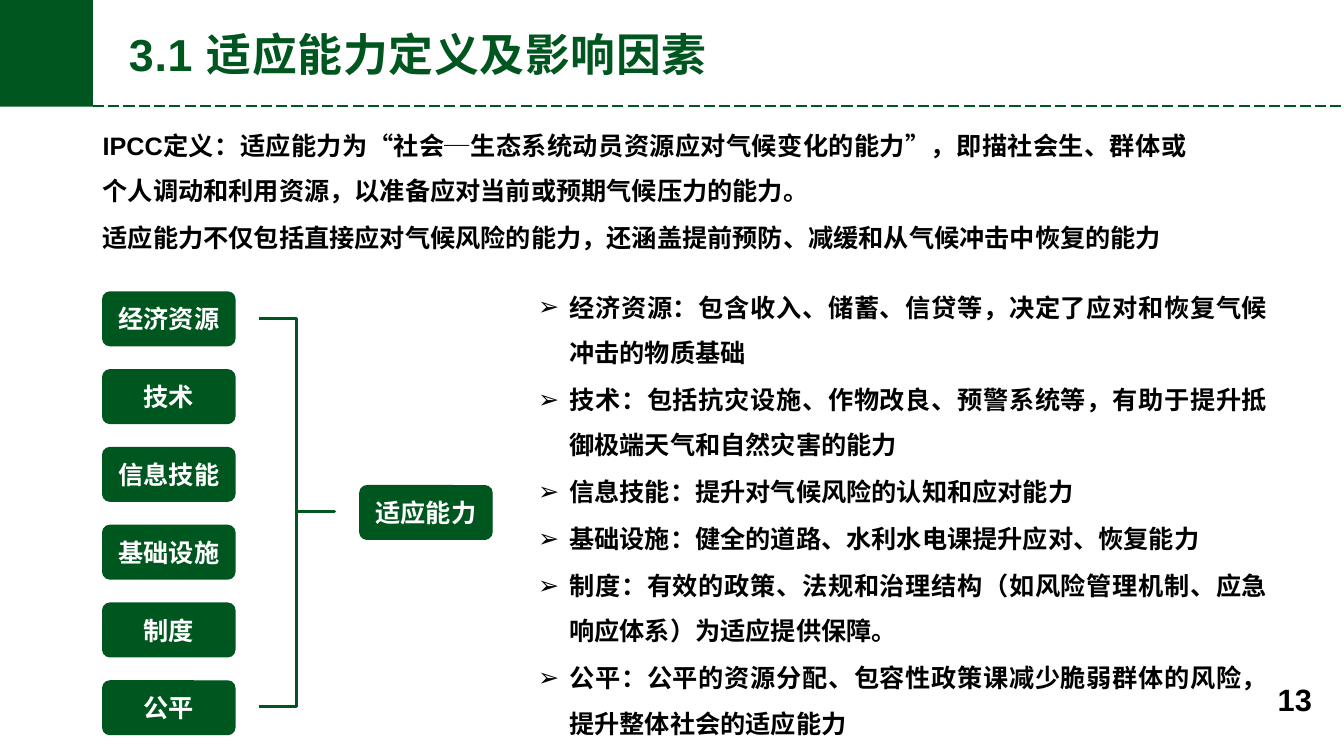
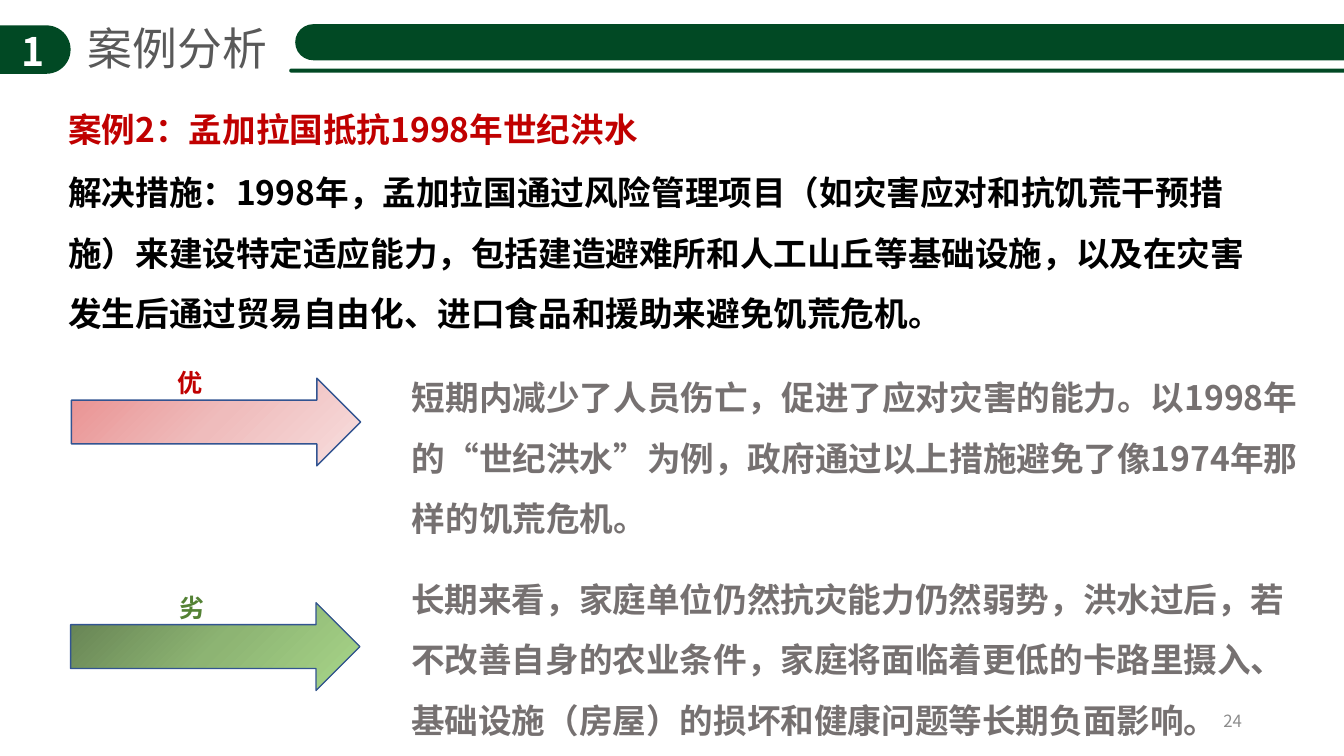
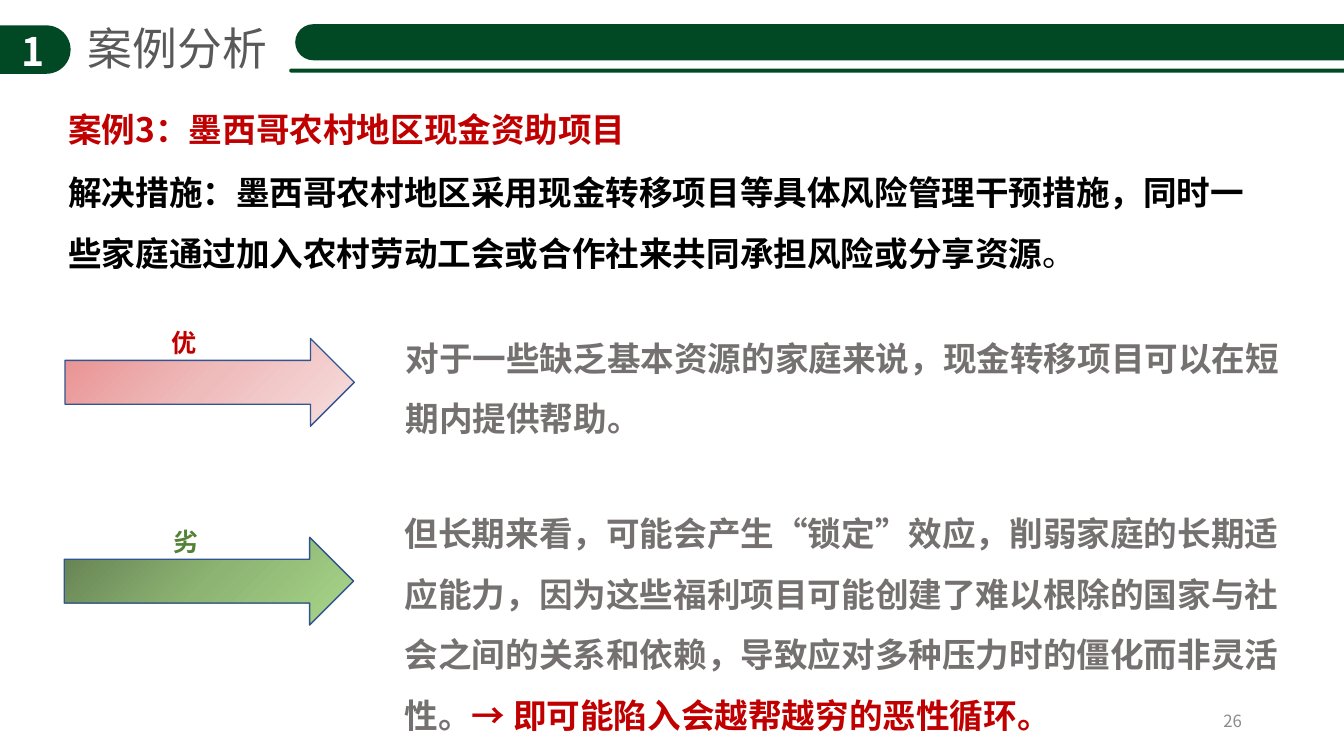
from dataclasses import dataclass

import lxml.etree
import pptx
import pptx.dml.color
import pptx.enum.dml
import pptx.enum.shapes
import pptx.enum.text
import pptx.oxml.ns
import pptx.shapes.autoshape
import pptx.slide
import pptx.text.text
import pptx.util

Cm = pptx.util.Cm
Pt = pptx.util.Pt
qn = pptx.oxml.ns.qn
ALIGN = pptx.enum.text.PP_ALIGN
ANCHOR = pptx.enum.text.MSO_ANCHOR
SHAPE = pptx.enum.shapes.MSO_SHAPE

# Shared look
COLORS = {
    "green": "00561F",
    "deep_green": "014924",
    "leaf": "548235",
    "red": "C00000",
    "black": "000000",
    "white": "FFFFFF",
    "title_grey": "595959",
    "text_grey": "767171",
    "number_grey": "8C8C8C",
    "arrow_edge": "325491",
}
CJK_FONT = "Noto Sans CJK SC"
SLIDE_WIDTH, SLIDE_HEIGHT = 33.87, 19.05


@dataclass(frozen=True)
class Box:
    """Left, top, width and height in centimetres."""
    left: float
    top: float
    width: float
    height: float

    def lengths(self) -> tuple:
        return Cm(self.left), Cm(self.top), Cm(self.width), Cm(self.height)


@dataclass(frozen=True)
class Style:
    size: float
    color: str
    bold: bool = True
    font: str = CJK_FONT
    align: ALIGN = ALIGN.LEFT
    line_spacing: float = 1.0
    space_before: float = 0
    bullet: str = ""
    letter_spacing: int = 0


@dataclass(frozen=True)
class Span:
    """A stretch of text that differs from its paragraph."""
    text: str
    color: str = ""
    font: str = ""
    bold: bool = True


@dataclass(frozen=True)
class EffectKind:
    label: str
    color: str
    gradient: tuple
    text_rise: float
    label_shift: float


@dataclass(frozen=True)
class Effect:
    kind: EffectKind
    left: float
    top: float
    lines: int
    spans: tuple


@dataclass(frozen=True)
class Case:
    number: str
    heading: str
    measures: tuple
    measure_lines: int
    effects: tuple


FACTOR_TITLE = Style(32, "green", font="Arial", letter_spacing=50)
FACTOR_NUMBER = Style(22, "black", font="Arial")
FACTOR_TEXT = Style(18, "black", font="Arial", align=ALIGN.JUSTIFY,
                    line_spacing=1.5, space_before=1.1)
FACTOR_LIST = Style(18, "black", font="Arial", align=ALIGN.JUSTIFY,
                    line_spacing=1.5, space_before=1.1, bullet="➢")
TAG = Style(18, "white", align=ALIGN.CENTER)
SECTION_NUMBER = Style(28, "white", align=ALIGN.CENTER)
SECTION_TITLE = Style(32, "title_grey", bold=False)
CASE_NUMBER = Style(12, "number_grey", bold=False, align=ALIGN.RIGHT)
CASE_HEADING = Style(24, "red", line_spacing=1.5)
CASE_TEXT = Style(24, "black", line_spacing=1.5)
EFFECT_TEXT = Style(24, "text_grey", line_spacing=1.5)

MERIT = EffectKind("优", "red", ((0, "E98F8F"), (50, "EFBCBC"), (100, "F7DEDE")), 0.66, 2.43)
DRAWBACK = EffectKind("劣", "leaf", ((0, "637F51"), (50, "8DB473"), (100, "A8D689")), 1.24, 2.5)


# Drawing functions
def rgb(name: str) -> pptx.dml.color.RGBColor:
    return pptx.dml.color.RGBColor.from_string(COLORS[name])


def write_paragraph(paragraph: pptx.text.text._Paragraph, spans: tuple,
                    style: Style, first: bool) -> None:
    paragraph.alignment = style.align
    paragraph.line_spacing = style.line_spacing
    paragraph.space_before = Pt(0 if first else style.space_before)
    properties = paragraph._p.get_or_add_pPr()
    if style.bullet:
        properties.set("marL", str(Cm(0.84)))
        properties.set("indent", str(Cm(-0.79)))
        lxml.etree.SubElement(properties, qn("a:buFont")).set("typeface", "Arial")
        lxml.etree.SubElement(properties, qn("a:buChar")).set("char", style.bullet)
    paragraph.font.size = Pt(style.size)
    paragraph.font.bold = style.bold
    paragraph.font.name = style.font
    paragraph.font.color.rgb = rgb(style.color)
    defaults = properties.find(qn("a:defRPr"))
    lxml.etree.SubElement(defaults, qn("a:ea")).set("typeface", CJK_FONT)
    if style.letter_spacing:
        defaults.set("spc", str(style.letter_spacing))
    for span in spans:
        run = paragraph.add_run()
        run.text = span.text
        if span.color:
            run.font.color.rgb = rgb(span.color)
        if span.font:
            run.font.name = span.font
        if span.bold != style.bold and not span.bold:
            run.font.bold = False


def write_text(frame: pptx.text.text.TextFrame, paragraphs: tuple, style: Style) -> None:
    for index, spans in enumerate(paragraphs):
        paragraph = frame.add_paragraph() if index else frame.paragraphs[0]
        write_paragraph(paragraph, spans, style, first=index == 0)


def plain(*texts: str) -> tuple:
    return tuple((Span(text),) for text in texts)


def add_text(slide: pptx.slide.Slide, box: Box, paragraphs: tuple, style: Style,
             anchor: ANCHOR = ANCHOR.TOP, wrap: bool = True,
             tight: bool = False, grow: bool = True) -> None:
    frame = slide.shapes.add_textbox(*box.lengths()).text_frame
    frame.word_wrap = wrap
    frame.vertical_anchor = anchor
    if grow:
        frame.auto_size = pptx.enum.text.MSO_AUTO_SIZE.SHAPE_TO_FIT_TEXT
    if tight:
        frame.margin_left = frame.margin_right = frame.margin_bottom = 0
        frame.margin_top = Cm(0.03)
    write_text(frame, paragraphs, style)


def add_block(slide: pptx.slide.Slide, box: Box, color: str, kind: SHAPE = SHAPE.RECTANGLE,
              rounding: float = 0) -> pptx.shapes.autoshape.Shape:
    shape = slide.shapes.add_shape(kind, *box.lengths())
    shape.shadow.inherit = False
    shape.fill.solid()
    shape.fill.fore_color.rgb = rgb(color)
    shape.line.fill.background()
    if rounding:
        shape.adjustments[0] = rounding
    return shape


def add_tag(slide: pptx.slide.Slide, left: float, top: float, text: str) -> None:
    shape = add_block(slide, Box(left, top, 3.33, 1.35), "green",
                      SHAPE.ROUNDED_RECTANGLE, 0.134)
    shape.line.color.rgb = rgb("green")
    shape.line.width = Pt(1)
    shape.text_frame.vertical_anchor = ANCHOR.MIDDLE
    write_text(shape.text_frame, plain(text), TAG)


def lines_height(lines: int) -> float:
    return 0.09 + 1.54 * lines


# Slide with the influencing factors
def build_factor_slide(slide: pptx.slide.Slide) -> None:
    add_text(slide, Box(31.95, 17.02, 1.37, 1.35), plain("13"), FACTOR_NUMBER, grow=False)
    add_block(slide, Box(0, 0, 2.34, 2.69), "green")
    rule = slide.shapes.add_connector(pptx.enum.shapes.MSO_CONNECTOR.STRAIGHT,
                                      Cm(2.34), Cm(2.67), Cm(SLIDE_WIDTH), Cm(2.67))
    rule.line.color.rgb = rgb("green")
    rule.line.width = Pt(1)
    rule.line.dash_style = pptx.enum.dml.MSO_LINE.LONG_DASH
    lxml.etree.SubElement(rule._element.spPr, qn("a:effectLst"))
    add_text(slide, Box(2.59, 2.97, 27.33, 3.4), plain(
        "IPCC定义：适应能力为“社会─生态系统动员资源应对气候变化的能力”，即描社会生、群体或个人调动和利用资源，以准备应对当前或预期气候压力的能力。",
        "适应能力不仅包括直接应对气候风险的能力，还涵盖提前预防、减缓和从气候冲击中恢复的能力",
    ), FACTOR_TEXT, ANCHOR.BOTTOM, tight=True)
    add_text(slide, Box(3, 0.56, 22.99, 1.63), plain("3.1 适应能力定义及影响因素"), FACTOR_TITLE)

    # Factors gathered by a brace
    factors = ("经济资源", "技术", "信息技能", "基础设施", "制度", "公平")
    for index, factor in enumerate(factors):
        add_tag(slide, 2.59, 7.36 + 1.96 * index, factor)
    add_tag(slide, 9.07, 12.24, "适应能力")
    brace = slide.shapes.add_shape(SHAPE.RIGHT_BRACE, *Box(6.53, 8.03, 1.9, 9.78).lengths())
    brace.shadow.inherit = False
    brace.fill.background()
    brace.line.color.rgb = rgb("green")
    brace.line.width = Pt(2.25)
    brace.adjustments[0] = 0
    brace.adjustments[1] = 0.497

    # Explanations
    add_text(slide, Box(13.51, 6.99, 18.44, 11.61), plain(
        "经济资源：包含收入、储蓄、信贷等，决定了应对和恢复气候冲击的物质基础",
        "技术：包括抗灾设施、作物改良、预警系统等，有助于提升抵御极端天气和自然灾害的能力",
        "信息技能：提升对气候风险的认知和应对能力",
        "基础设施：健全的道路、水利水电课提升应对、恢复能力",
        "制度：有效的政策、法规和治理结构（如风险管理机制、应急响应体系）为适应提供保障。",
        "公平：公平的资源分配、包容性政策课减少脆弱群体的风险，提升整体社会的适应能力",
    ), FACTOR_LIST, ANCHOR.BOTTOM, tight=True)


# Case slides
def add_section_header(slide: pptx.slide.Slide) -> None:
    for box in (Box(-0.71, 0.64, 2.49, 1.22), Box(7.44, 0.61, 30, 0.91), Box(7.29, 1.73, 30, 0.1)):
        add_block(slide, box, "deep_green", SHAPE.ROUNDED_RECTANGLE, 0.5)
    add_text(slide, Box(0.18, 0.56, 1.3, 1.45), plain("1"), SECTION_NUMBER)
    add_text(slide, Box(1.96, 0.41, 5.08, 1.63), plain("案例分析"), SECTION_TITLE, wrap=False)


def add_effect(slide: pptx.slide.Slide, effect: Effect) -> None:
    kind = effect.kind
    arrow = slide.shapes.add_shape(SHAPE.RIGHT_ARROW,
                                   *Box(effect.left, effect.top, 7.29, 2.21).lengths())
    arrow.shadow.inherit = False
    arrow.line.color.rgb = rgb("arrow_edge")
    arrow.line.width = Pt(1)
    arrow.fill.gradient()
    arrow.fill.gradient_angle = 315
    stops = arrow._element.spPr.find(qn("a:gradFill")).find(qn("a:gsLst"))
    stops[:] = []
    for percent, color in kind.gradient:
        stop = lxml.etree.SubElement(stops, qn("a:gs"))
        stop.set("pos", str(percent * 1000))
        lxml.etree.SubElement(stop, qn("a:srgbClr")).set("val", color)
    add_text(slide, Box(effect.left + 8.33, effect.top - kind.text_rise, 22.99,
                        lines_height(effect.lines)), (effect.spans,), EFFECT_TEXT)
    add_text(slide, Box(effect.left + kind.label_shift, effect.top - 0.4, 2.39, 1.02),
             plain(kind.label), Style(18, kind.color))


def build_case_slide(slide: pptx.slide.Slide, case: Case) -> None:
    add_section_header(slide)
    add_text(slide, Box(23.93, 17.65, 7.62, 1.02), plain(case.number), CASE_NUMBER,
             ANCHOR.MIDDLE, grow=False)
    add_text(slide, Box(1.47, 2.11, 15.8, lines_height(1)), plain(case.heading), CASE_HEADING)
    add_text(slide, Box(1.47, 3.71, 30.86, lines_height(case.measure_lines)),
             (case.measures,), CASE_TEXT)
    for effect in case.effects:
        add_effect(slide, effect)


CASES = (
    Case(
        "24", "案例2：孟加拉国抵抗1998年世纪洪水",
        (Span("解决措施：1998年，孟加拉国通过风险管理项目（如灾害应对和抗饥荒干预措施）来建设特定适应能力，包括建造避难所和人工山丘等基础设施，以及在灾害发生后通过贸易自由化、进口食品和援助来避免饥荒危机。"),),
        3,
        (
            Effect(MERIT, 1.8, 9.53, 3, (
                Span("短期内减少了人员伤亡，促进了应对灾害的能力。以1998年的“世纪洪水”为例，政府通过以上措施避免了像1974年那样的饥荒危机。"),)),
            Effect(DRAWBACK, 1.78, 15.19, 3, (
                Span("长期来看，家庭单位仍然抗灾能力仍然弱势，洪水过后，若不改善自身的农业条件，家庭将面临着更低的卡路里摄入、基础设施（房屋）的损坏和健康问题等长期负面影响。"),)),
        ),
    ),
    Case(
        "26", "案例3：墨西哥农村地区现金资助项目",
        (Span("解决措施：墨西哥农村地区采用现金转移项目等具体风险管理干预措施，同时一些家庭通过加入农村劳动工会或合作社来共同承担风险或分享资源"),
         Span("。", font="Lato", bold=False)),
        2,
        (
            Effect(MERIT, 1.64, 8.53, 2, (
                Span("对于一些缺乏基本资源的家庭来说，现金转移项目可以在短期内提供帮助。"),)),
            Effect(DRAWBACK, 1.62, 13.54, 4, (
                Span("但长期来看，可能会产生“锁定”效应，削弱家庭的长期适应能力，因为这些福利项目可能创建了难以根除的国家与社会之间的关系和依赖，导致应对多种压力时的僵化而非灵活性。"),
                Span("→ 即可能陷入会越帮越穷的恶性循环。", color="red"))),
        ),
    ),
)


def main() -> None:
    presentation = pptx.Presentation()
    presentation.slide_width = Cm(SLIDE_WIDTH)
    presentation.slide_height = Cm(SLIDE_HEIGHT)
    blank = presentation.slide_layouts[6]
    build_factor_slide(presentation.slides.add_slide(blank))
    for case in CASES:
        build_case_slide(presentation.slides.add_slide(blank), case)
    presentation.save("out.pptx")


if __name__ == "__main__":
    main()
